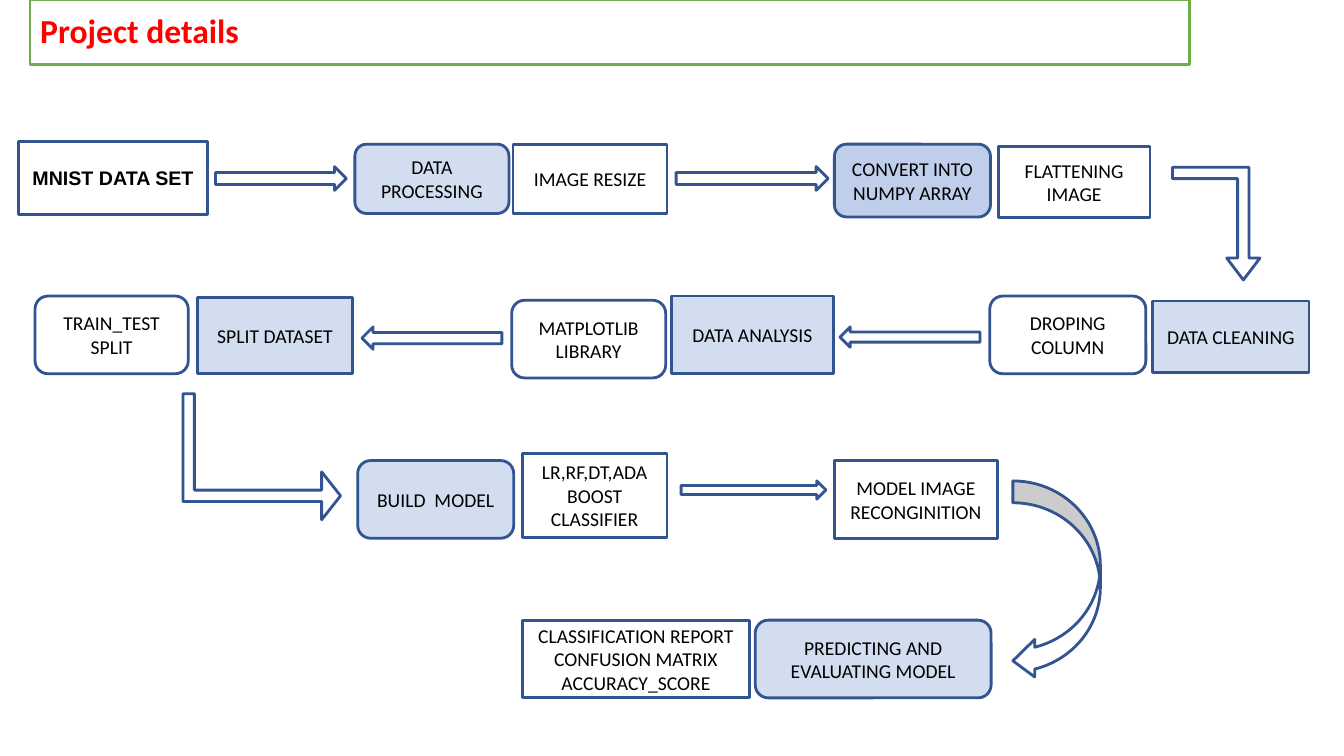
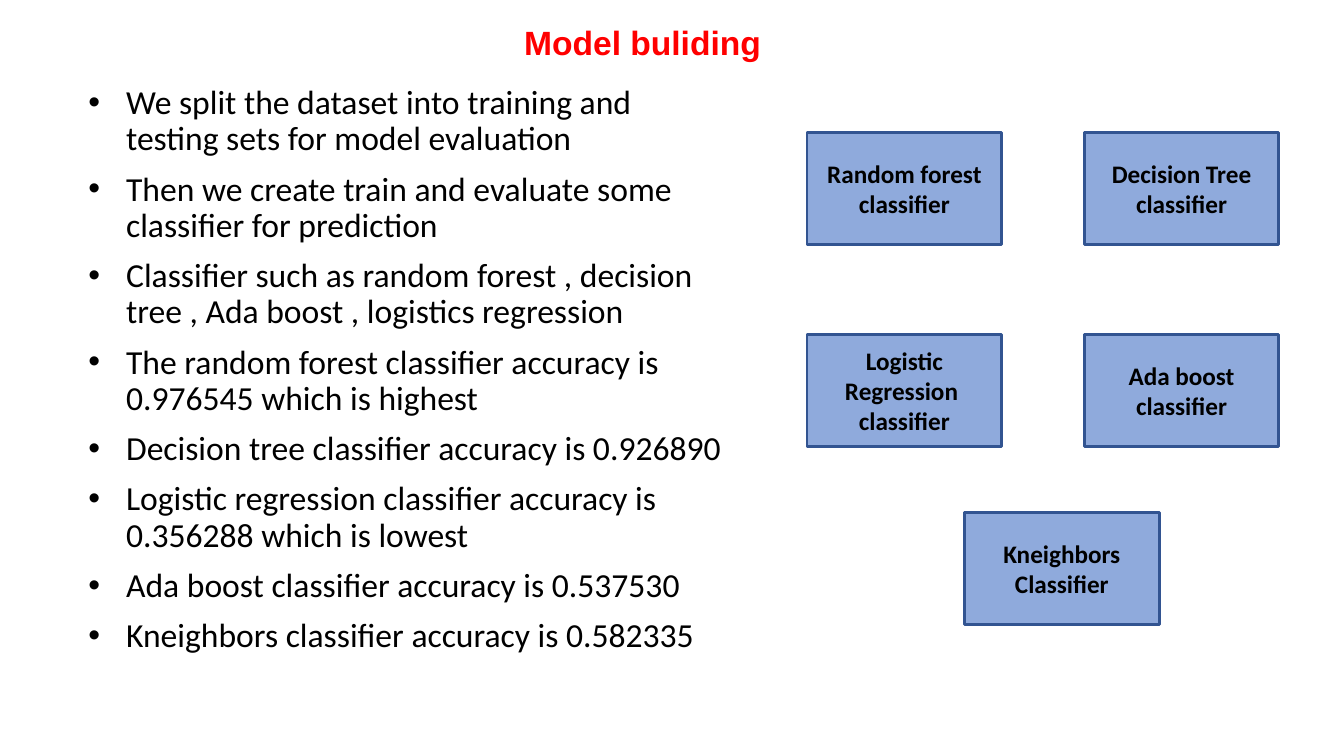
import pptx
import pptx.util
import pptx.dml.color
import pptx.enum.shapes
import pptx.enum.text
import pptx.oxml
import pptx.oxml.ns

Pt = pptx.util.Pt
RGBColor = pptx.dml.color.RGBColor
Shape = pptx.enum.shapes.MSO_SHAPE
Align = pptx.enum.text.PP_ALIGN
Anchor = pptx.enum.text.MSO_ANCHOR

# Shared look
RED = RGBColor(0xFF, 0x00, 0x00)
GREEN = RGBColor(0x70, 0xAD, 0x47)
NAVY = RGBColor(0x32, 0x54, 0x91)
PALE_BLUE = RGBColor(0xB4, 0xC7, 0xE7)
MID_BLUE = RGBColor(0x8F, 0xAA, 0xDC)
WHITE = RGBColor(0xFF, 0xFF, 0xFF)
BLACK = RGBColor(0x00, 0x00, 0x00)
BODY_FONT = "Calibri"
LINE_WIDTH = Pt(2)

RECT = Shape.RECTANGLE
ROUND = Shape.FLOWCHART_ALTERNATE_PROCESS

# Flow steps: text lines, shape, left, top, width, height, fill, opacity in %
FLOW_STEPS = [
    (["DATA PROCESSING"], ROUND, 253.5, 103, 110, 49.5, PALE_BLUE, 59),
    (["IMAGE RESIZE"], RECT, 366.5, 103, 110, 49.5, WHITE, 100),
    (["CONVERT INTO", "NUMPY ARRAY"], ROUND, 596, 103, 111.5, 52, MID_BLUE, 57),
    (["FLATTENING IMAGE"], RECT, 713, 104.5, 108.5, 51, WHITE, 100),
    (["DATA CLEANING"], RECT, 823.5, 215, 111.5, 51, PALE_BLUE, 59),
    (["DROPING COLUMN"], ROUND, 707, 211.5, 111.5, 55.5, WHITE, 59),
    (["DATA ANALYSIS"], RECT, 479.5, 211.5, 116, 55.5, PALE_BLUE, 59),
    (["MATPLOTLIB", "LIBRARY"], ROUND, 365.5, 214.5, 110, 55.5, WHITE, 59),
    (["SPLIT DATASET"], RECT, 141, 212.5, 111, 54.5, PALE_BLUE, 59),
    (["TRAIN_TEST", "SPLIT"], ROUND, 25, 211.5, 109.5, 55.5, WHITE, 59),
    (["BUILD  MODEL"], ROUND, 255.5, 329, 111.5, 55.5, PALE_BLUE, 59),
    (["LR,RF,DT,ADA BOOST CLASSIFIER"], RECT, 373, 324, 103.5, 60, WHITE, 100),
    (["MODEL IMAGE RECONGINITION"], RECT, 596, 329, 116.5, 55.5, WHITE, 100),
    (["PREDICTING AND EVALUATING MODEL"], ROUND, 539.5, 443, 168.5, 55.5, PALE_BLUE, 59),
    (["CLASSIFICATION REPORT", "CONFUSION MATRIX", "ACCURACY_SCORE"],
     RECT, 373, 443, 162.5, 55.5, WHITE, 100),
]

# Straight arrows: left, top, width, height, rotation
STRAIGHT_ARROWS = [
    (154, 119, 93.5, 17, 0),
    (483, 119, 108.5, 17, 0),
    (486.5, 343.5, 103.5, 13, 0),
    (258.5, 233.5, 100, 16, 180),
    (600, 233.5, 100, 14.5, 180),
]

FINDINGS = [
    "We split the dataset into training and testing sets for model evaluation",
    "Then we create train and evaluate some classifier for prediction",
    "Classifier such as random forest , decision tree , Ada boost , logistics regression",
    "The random forest classifier accuracy is 0.976545 which is highest",
    "Decision tree classifier accuracy is 0.926890",
    "Logistic regression classifier accuracy is 0.356288 which is lowest",
    "Ada boost classifier accuracy is 0.537530",
    "Kneighbors classifier accuracy is 0.582335",
]

# Classifier boxes: two columns, two rows and one box below
CLASSIFIER_GRID = [
    [["Random forest classifier"], ["Decision Tree classifier"]],
    [["Logistic Regression  classifier"], ["Ada boost", "classifier"]],
]
GRID_LEFT, GRID_TOP = 576.5, 94.5
COLUMN_STEP, ROW_STEP = 198, 144.5
CLASSIFIER_SIZE = (139, 80)


def place(shape, left, top, width, height):
    shape.left, shape.top = Pt(left), Pt(top)
    shape.width, shape.height = Pt(width), Pt(height)


def write(paragraph, text, size, color=BLACK, bold=False, font=BODY_FONT):
    run = paragraph.add_run()
    run.text = text
    run.font.name, run.font.size = font, Pt(size)
    run.font.bold, run.font.color.rgb = bold, color


def add_title(slide, text, box, font, alignment):
    title = slide.shapes.title
    place(title, *box)
    frame = title.text_frame
    frame.auto_size = pptx.enum.text.MSO_AUTO_SIZE.NONE
    frame.vertical_anchor = Anchor.MIDDLE
    paragraph = frame.paragraphs[0]
    paragraph.alignment = alignment
    paragraph.line_spacing = 0.9
    write(paragraph, text, 24, RED, True, font)
    return title


def add_outlined(slide, kind, box, fill, opacity=100):
    left, top, width, height = box
    shape = slide.shapes.add_shape(kind, Pt(left), Pt(top), Pt(width), Pt(height))
    shape.shadow.inherit = False
    shape.fill.solid()
    shape.fill.fore_color.rgb = fill
    shape.line.color.rgb = NAVY
    shape.line.width = LINE_WIDTH
    if opacity < 100:
        color = shape.fill._xPr.find(".//" + pptx.oxml.ns.qn("a:srgbClr"))
        alpha = color.makeelement(pptx.oxml.ns.qn("a:alpha"), {"val": str(opacity * 1000)})
        color.append(alpha)
    return shape


def add_box(slide, lines, kind, box, fill, opacity=100, size=14, bold=False, font=BODY_FONT):
    frame = add_outlined(slide, kind, box, fill, opacity).text_frame
    frame.word_wrap = True
    frame.vertical_anchor = Anchor.MIDDLE
    for index, line in enumerate(lines):
        paragraph = frame.add_paragraph() if index else frame.paragraphs[0]
        paragraph.alignment = Align.CENTER
        write(paragraph, line, size, BLACK, bold, font)


def add_arrow(slide, kind, box, rotation=0, adjustments=(), flip=False):
    arrow = add_outlined(slide, kind, box, WHITE)
    arrow.rotation = rotation
    for index, value in enumerate(adjustments):
        arrow.adjustments[index] = value
    if flip:
        arrow._element.spPr.xfrm.set("flipV", "1")


def add_bullets(slide, items, box):
    frame = slide.shapes.add_textbox(*map(Pt, box)).text_frame
    frame.word_wrap = True
    for index, item in enumerate(items):
        paragraph = frame.add_paragraph() if index else frame.paragraphs[0]
        paragraph.line_spacing = 0.9
        paragraph.space_before = Pt(10)
        write(paragraph, item, 24)
        properties = paragraph._p.get_or_add_pPr()
        properties.set("marL", str(Pt(36)))
        properties.set("indent", str(Pt(-27)))
        for tag, name, value in (("a:buFont", "typeface", "Arial"), ("a:buChar", "char", "•")):
            properties.append(properties.makeelement(pptx.oxml.ns.qn(tag), {name: value}))


def build_project_slide(slide):
    title = add_title(slide, "Project details", (21.5, 0, 828, 46), BODY_FONT, Align.LEFT)
    title.line.color.rgb = GREEN
    title.line.width = LINE_WIDTH

    # Steps
    add_box(slide, ["MNIST DATA SET"], Shape.FLOWCHART_PROCESS, (13.5, 101, 134.5, 52),
            WHITE, bold=True, font="Arial")
    for lines, kind, *box, fill, opacity in FLOW_STEPS:
        add_box(slide, lines, kind, box, fill, opacity)

    # Arrows between the steps
    for *box, rotation in STRAIGHT_ARROWS:
        add_arrow(slide, Shape.RIGHT_ARROW, box, rotation)
    add_arrow(slide, Shape.BENT_UP_ARROW, (837.5, 119.5, 62.5, 80.5),
              adjustments=(0.13, 0.19, 0.25), flip=True)
    add_arrow(slide, Shape.BENT_UP_ARROW, (142, 270, 90, 112.5), 90, (0.09, 0.19, 0.15))
    add_arrow(slide, Shape.CURVED_LEFT_ARROW, (723.5, 343.5, 62.5, 142),
              adjustments=(0.25, 0.43, 0.25))


def build_model_slide(slide):
    add_title(slide, "Model buliding", (219, 13.5, 480, 36), "Arial", Align.CENTER)
    add_bullets(slide, FINDINGS, (47, 57.5, 480, 441.5))

    # Classifiers
    boxes = [(lines, GRID_LEFT + column * COLUMN_STEP, GRID_TOP + row * ROW_STEP)
             for row, names in enumerate(CLASSIFIER_GRID)
             for column, lines in enumerate(names)]
    boxes.append((["Kneighbors", "Classifier"], 689, 366))
    for lines, left, top in boxes:
        add_box(slide, lines, RECT, (left, top, *CLASSIFIER_SIZE), MID_BLUE, size=18, bold=True)


def main():
    presentation = pptx.Presentation()
    presentation.slide_width, presentation.slide_height = Pt(960), Pt(540)
    title_only = presentation.slide_layouts[5]
    for build in (build_project_slide, build_model_slide):
        build(presentation.slides.add_slide(title_only))
    presentation.save("out.pptx")


if __name__ == "__main__":
    main()
